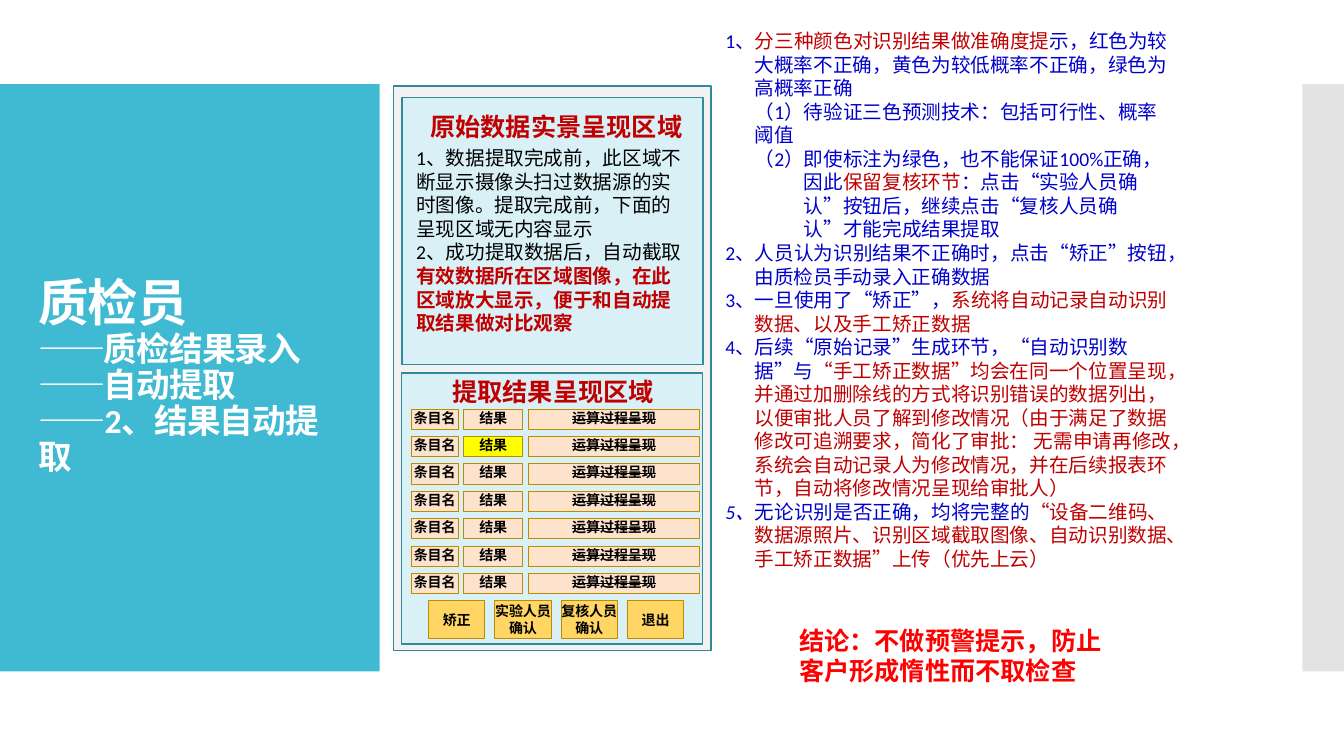
from copy import deepcopy

from lxml.etree import SubElement
from pptx import Presentation
from pptx.dml.color import RGBColor
from pptx.enum.shapes import MSO_SHAPE
from pptx.enum.text import MSO_ANCHOR, PP_ALIGN
from pptx.oxml.ns import qn
from pptx.util import Cm, Pt

TEAL, WHITE, BLACK = "40BAD2", "FFFFFF", "000000"
BLUE, RED, ALERT = "0000CC", "C00000", "FF0000"
PALE, EDGE = "D9F1F6", "2F8A9B"
PEACH, GOLD, YELLOW, RIM = "FDE2CC", "FFD663", "FFFF00", "BB8B00"


def paint(target, color):
    target.rgb = RGBColor.from_string(color)


def write(par, text, size=14, color=BLACK, bold=False, italic=False,
          strike=False, space=None):
    """Add text to a paragraph; each newline becomes a line break."""
    for num, line in enumerate(text.split("\n")):
        if num:
            par.add_line_break()
            par._p[-1].append(deepcopy(run._r.rPr))
        run = par.add_run()
        run.text = line
        font = run.font
        font.name, font.size = "Calibri", Pt(size)
        font.bold, font.italic = bold, italic
        paint(font.color, color)
        if strike:
            run._r.rPr.set("strike", "sngStrike")
        if space is not None:
            run._r.rPr.set("spc", str(space))


class Page:
    def __init__(self, deck):
        self.slide = deck.slides.add_slide(deck.slide_layouts[5])
        self.items = self.slide.shapes

    def rect(self, box, fill, line=None, width=0.75, alpha=None):
        shape = self.items.add_shape(MSO_SHAPE.RECTANGLE, *map(Cm, box))
        shape.shadow.inherit = False
        shape.fill.solid()
        paint(shape.fill.fore_color, fill)
        if alpha:
            tint = shape.fill._xPr.find(qn("a:solidFill"))[0]
            SubElement(tint, qn("a:alpha"), val=str(alpha * 1000))
        if line:
            paint(shape.line.color, line)
            shape.line.width = Pt(width)
        else:
            shape.line.fill.background()
        return shape

    def label(self, box, text, fill=PEACH, anchor=MSO_ANCHOR.TOP, strike=False):
        frame = self.rect(box, fill, RIM).text_frame
        frame.word_wrap = True
        frame.vertical_anchor = anchor
        frame.margin_left = frame.margin_right = 0
        frame.margin_top = frame.margin_bottom = 0
        par = frame.paragraphs[0]
        par.alignment = PP_ALIGN.CENTER
        write(par, text, size=10, bold=True, strike=strike)

    def text(self, box, pars, align=PP_ALIGN.LEFT, **style):
        """Each paragraph is (left margin, first indent, runs)."""
        frame = self.items.add_textbox(*map(Cm, box)).text_frame
        frame.word_wrap = True
        for num, (left, first, runs) in enumerate(pars):
            par = frame.add_paragraph() if num else frame.paragraphs[0]
            par.alignment = align
            if left:
                props = par._p.get_or_add_pPr()
                props.set("marL", str(Cm(left)))
                props.set("indent", str(Cm(first)))
            for words, look in runs:
                write(par, words, **{**style, **look})

    def head(self, box, text, color=RED, align=PP_ALIGN.CENTER):
        self.text(box, [(0, 0, [(text, {})])], align,
                  size=18, color=color, bold=True)

    def title(self, box, parts):
        shape = self.items.title
        shape.left, shape.top, shape.width, shape.height = map(Cm, box)
        self.items._spTree.append(shape._element)
        frame = shape.text_frame
        frame.word_wrap = True
        frame.vertical_anchor = MSO_ANCHOR.MIDDLE
        par = frame.paragraphs[0]
        par.alignment = PP_ALIGN.LEFT
        par.line_spacing = 0.9
        for text, size in parts:
            write(par, text, size=size, color=WHITE, bold=True, space=-60)


def main():
    deck = Presentation()
    deck.slide_width, deck.slide_height = Cm(33.87), Cm(19.05)
    page = Page(deck)

    # Side bands and title
    page.rect((0, 2.12, 9.57, 14.8), TEAL)
    page.rect((32.82, 2.12, 1.05, 14.8), "C8C8C8", alpha=50)
    page.title((0.71, 3.12, 8.18, 12.78), [
        ("质检员\n", 36),
        ("——质检结果录入\n——自动提取\n——2、结果自动提取", 24)])

    # Device frame
    page.rect((9.92, 2.17, 8, 14.22), "F2F2F2", EDGE, 0.85)

    # Notes on the right
    blue, red = {"color": BLUE}, {"color": RED}
    hang = (0.74, -0.74)
    page.text((18.03, 0.61, 11.86, 14.02), [
        (*hang, [("1、", blue), ("分三种颜色对识别结果做准确度提", red),
                 ("示，红色为较大概率不正确，黄色为较低概率不正确，绿色为高概率正确", blue)]),
        (0.74, 0, [("（1）待验证三色预测技术：包括可行性、概率阈值", blue)]),
        (1.98, -1.24, [("（2）即使标注为绿色，也不能保证100%正确，因此", blue),
                       ("保留复核环节", red),
                       ("：点击“实验人员确认”按钮后，继续点击“复核人员确认”才能完成结果提取", blue)]),
        (*hang, [("2、人员认为识别结果不正确时，点击“矫正”按钮，由质检员手动录入正确数据", blue)]),
        (*hang, [("3、一旦使用了“矫正”，", blue),
                 ("系统将自动记录自动识别数据、以及手工矫正数据", red)]),
        (*hang, [("4、后续“原始记录”生成环节，“自动识别数据”与", blue),
                 ("“手工矫正数据”均会在同一个位置呈现，并通过加删除线的方式将识别错误的"
                  "数据列出，以便审批人员了解到修改情况（由于满足了数据修改可追溯要求，"
                  "简化了审批： 无需申请再修改，系统会自动记录人为修改情况，"
                  "并在后续报表环节，自动将修改情况呈现给审批人）", red)]),
        (*hang, [("5、", {"color": BLUE, "italic": True}),
                 ("无论识别是否正确，均将完整的", blue),
                 ("“设备二维码、数据源照片、识别区域截取图像、自动识别数据、"
                  "手工矫正数据”上传（优先上云）", red)]),
    ])

    # Source data area
    page.rect((10.13, 2.46, 7.59, 6.73), PALE, EDGE, 0.85)
    page.text((10.24, 3.56, 7.42, 5.05), [
        (0, 0, [("1、数据提取完成前，此区域不断显示摄像头扫过数据源的实时图像。"
                 "提取完成前，下面的呈现区域无内容显示", {})]),
        (0, 0, [("2、成功提取数据后，自动截取", {}),
                ("有效数据所在区域图像，在此区域放大显示，便于和自动提取结果做对比观察",
                 {"color": RED, "bold": True})]),
    ])
    page.head((10.49, 2.67, 7.06, 1.02), "原始数据实景呈现区域")

    # Result area: seven rows of three cells
    page.rect((10.11, 9.4, 7.59, 6.83), PALE, EDGE, 0.85)
    page.head((10.41, 9.35, 7.06, 1.02), "提取结果呈现区域")
    for row in range(7):
        top = 10.31 + 0.69 * row
        page.label((10.36, top, 1.19, 0.51), "条目名")
        page.label((11.68, top, 1.5, 0.51), "结果", YELLOW if row == 1 else PEACH)
        page.label((13.33, top, 4.29, 0.51), "运算过程呈现", strike=True)

    # Buttons
    for num, name in enumerate(["矫正", "实验人员确认", "复核人员确认", "退出"]):
        page.label((10.8 + 1.67 * num, 15.14, 1.42, 0.94), name, GOLD,
                   MSO_ANCHOR.MIDDLE)

    # Conclusion
    page.head((19.89, 15.62, 8.69, 1.8), "结论：不做预警提示，防止客户形成惰性而不取检查",
              ALERT, PP_ALIGN.LEFT)

    deck.save("out.pptx")


if __name__ == "__main__":
    main()
